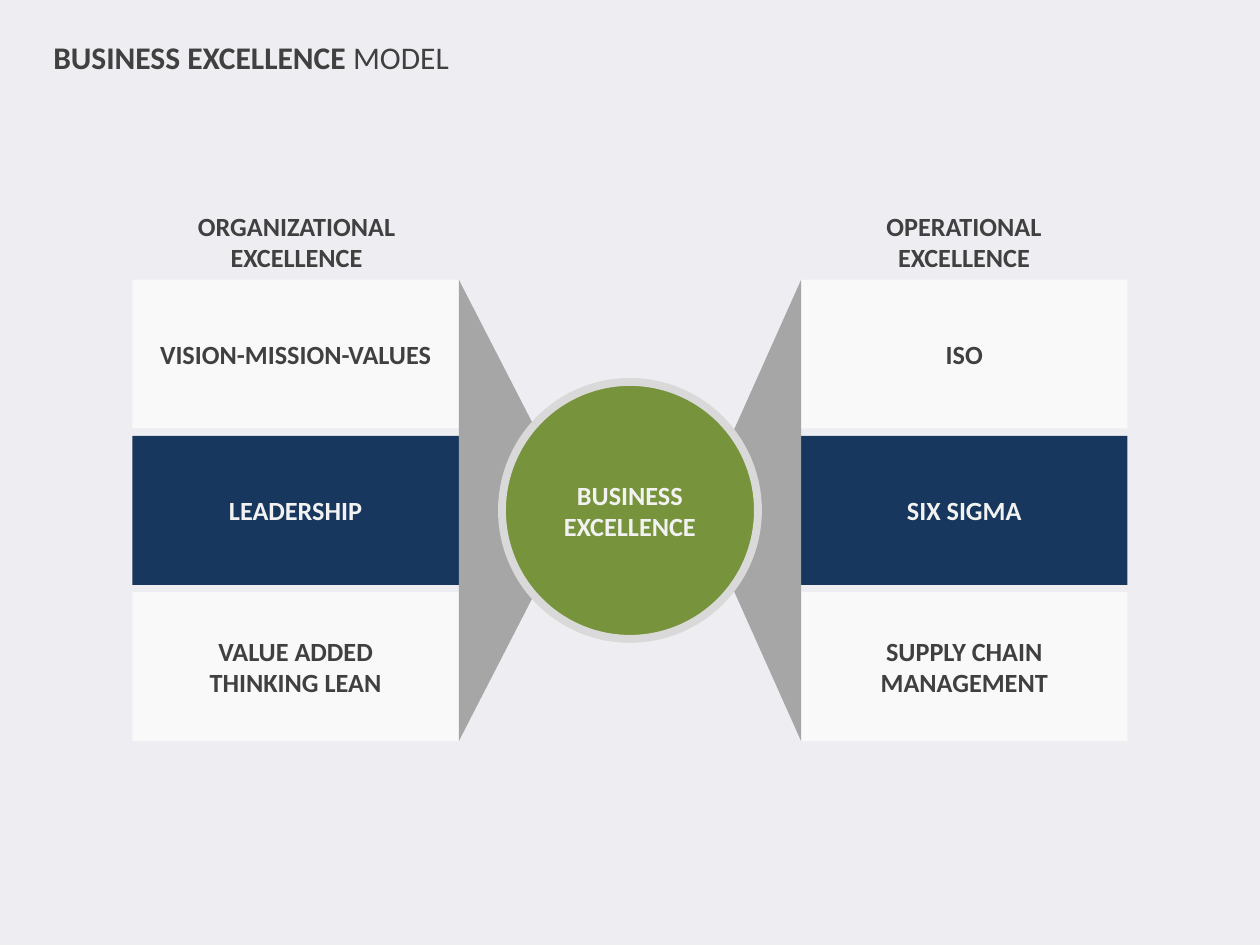
from lxml import etree
from pptx import Presentation
from pptx.dml.color import RGBColor
from pptx.enum import shapes, text
from pptx.oxml.ns import qn
from pptx.util import Cm, Pt

BACKGROUND = RGBColor(0xEE, 0xEE, 0xF2)
WHITE = RGBColor(0xFF, 0xFF, 0xFF)
NAVY = RGBColor(0x17, 0x37, 0x5E)
GREEN = RGBColor(0x77, 0x93, 0x3C)
GREY = RGBColor(0xA6, 0xA6, 0xA6)
RING = RGBColor(0xD9, 0xD9, 0xD9)
DARK = RGBColor(0x40, 0x40, 0x40)
LIGHT = RGBColor(0xF2, 0xF2, 0xF2)
SHAPE = shapes.MSO_SHAPE

prs = Presentation()
prs.slide_width, prs.slide_height = Cm(25.4), Cm(19.05)
s = prs.slides.add_slide(prs.slide_layouts[5])
s.background.fill.solid()
s.background.fill.fore_color.rgb = BACKGROUND


def add_run(p, words, color, size=15, bold=True):
    r = p.add_run()
    r.text = words
    r.font.name, r.font.size, r.font.bold = "Calibri", Pt(size), bold
    r.font.color.rgb = color


def add_filled(kind, left, top, width, height, fill, lines=(), color=DARK):
    sp = s.shapes.add_shape(kind, Cm(left), Cm(top), Cm(width), Cm(height))
    sp.shadow.inherit = False
    sp.fill.solid()
    sp.fill.fore_color.rgb = fill
    sp.line.fill.background()
    tf = sp.text_frame
    tf.vertical_anchor = text.MSO_ANCHOR.MIDDLE
    for i, line in enumerate(lines):
        p = tf.add_paragraph() if i else tf.paragraphs[0]
        p.alignment = text.PP_ALIGN.CENTER
        add_run(p, line, color)
    return sp


# Title
title = s.shapes.title
title.left, title.top, title.width, title.height = Cm(0.82), Cm(0.64), Cm(8.53), Cm(1.03)
tf = title.text_frame
tf.word_wrap = False
tf.auto_size = text.MSO_AUTO_SIZE.SHAPE_TO_FIT_TEXT
tf.vertical_anchor = text.MSO_ANCHOR.TOP
p = tf.paragraphs[0]
p.alignment = text.PP_ALIGN.LEFT
add_run(p, "BUSINESS EXCELLENCE ", DARK, 18)
add_run(p, "MODEL", DARK, 18, False)

# Columns: heading, three boxes and a triangle pointing to the centre
box_w, box_h, pitch, top = 6.58, 3.0, 3.15, 5.64
stack_h = 2 * pitch + box_h
columns = [
    # box left, heading left and width, triangle left and depth, rotation
    (2.67, 3.68, 4.6, 9.25, 2.39, 90, "ORGANIZATIONAL",
     [["VISION-MISSION-VALUES"], ["LEADERSHIP"], ["VALUE ADDED", "THINKING LEAN"]]),
    (16.15, 17.58, 3.71, 14.07, 2.08, 270, "OPERATIONAL",
     [["ISO"], ["SIX SIGMA"], ["SUPPLY CHAIN MANAGEMENT"]]),
]
for left, head_left, head_w, tri_left, depth, angle, heading, boxes in columns:
    for row, lines in enumerate(boxes):
        middle = row == 1
        sp = add_filled(SHAPE.RECTANGLE, left, top + row * pitch, box_w, box_h,
                        NAVY if middle else WHITE, lines, LIGHT if middle else DARK)
        if not middle:
            clr = sp.fill._xPr.find(qn("a:solidFill"))[0]
            etree.SubElement(clr, qn("a:alpha"), val="65000")

    # The triangle is laid out upright, then turned about its centre
    sp = add_filled(SHAPE.ISOSCELES_TRIANGLE, tri_left + (depth - stack_h) / 2,
                    top + (stack_h - depth) / 2, stack_h, depth, GREY)
    sp.rotation = angle

    tb = s.shapes.add_textbox(Cm(head_left), Cm(4.11), Cm(head_w), Cm(1.55))
    tf = tb.text_frame
    tf.word_wrap = False
    tf.auto_size = text.MSO_AUTO_SIZE.SHAPE_TO_FIT_TEXT
    for i, line in enumerate([heading, "EXCELLENCE"]):
        p = tf.add_paragraph() if i else tf.paragraphs[0]
        p.alignment = text.PP_ALIGN.CENTER
        add_run(p, line, DARK)

# Central circle
hub = add_filled(SHAPE.OVAL, 10.12, 7.7, 5.16, 5.18, GREEN,
                 ["BUSINESS", "EXCELLENCE"], LIGHT)
hub.line.color.rgb = RING
hub.line.width = Pt(4.5)

prs.save("out.pptx")
